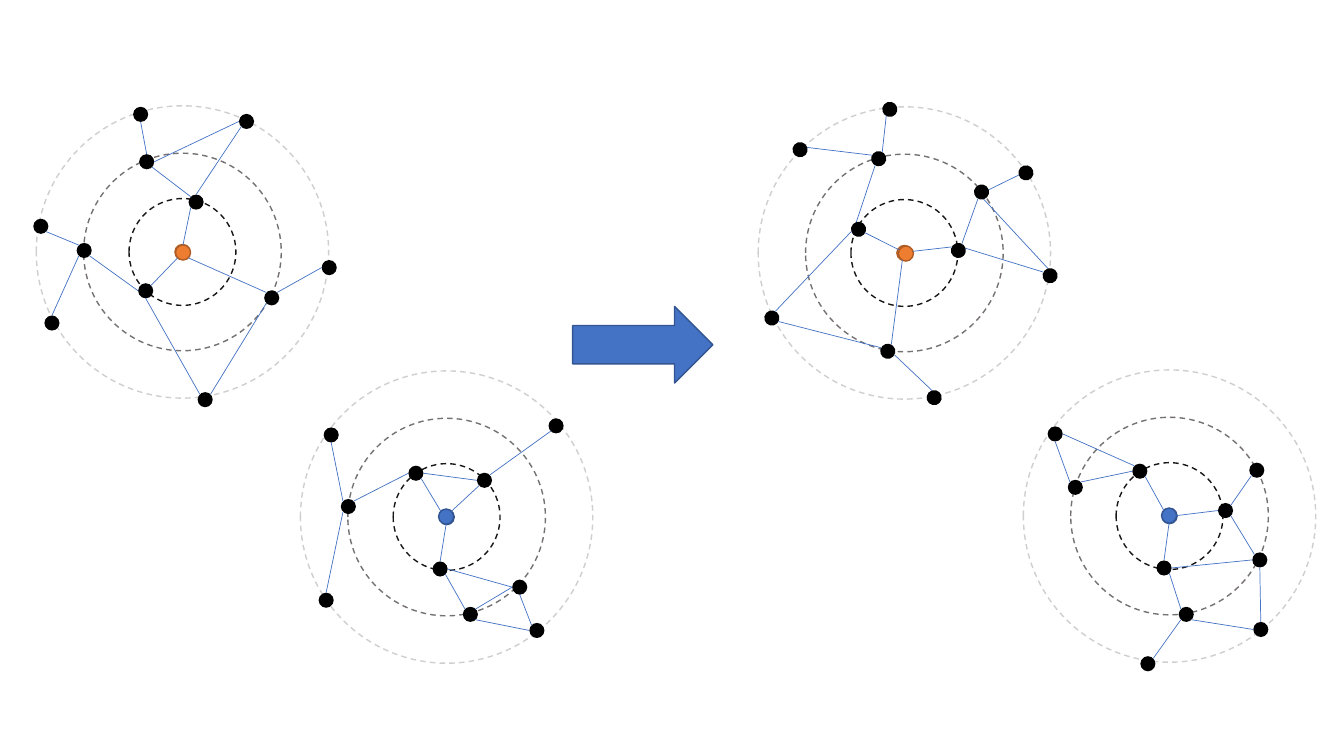
from math import cos, radians, sin

from pptx import Presentation
from pptx.dml.color import RGBColor
from pptx.enum.dml import MSO_LINE
from pptx.enum.shapes import MSO_CONNECTOR, MSO_SHAPE as SHAPE
from pptx.oxml.ns import qn
from pptx.util import Inches, Pt

BLACK = RGBColor(0x00, 0x00, 0x00)
BLUE = RGBColor(0x44, 0x72, 0xC4)
DARK_BLUE = RGBColor(0x32, 0x54, 0x91)
ORANGE = RGBColor(0xED, 0x7D, 0x31)
DARK_ORANGE = RGBColor(0xAF, 0x5C, 0x24)

DOT = 0.15
RINGS = [
    (0.53, RGBColor(0x18, 0x17, 0x17)),
    (0.98, RGBColor(0x76, 0x71, 0x71)),
    (1.45, RGBColor(0xD0, 0xCE, 0xCE)),
]
COMPASS = ["N", "NE", "E", "SE", "S", "SW", "W", "NW"]

ORANGE_EDGES = [
    (2, "NE", 0, "SW"), (0, "N", 1, "SW"), (3, "NW", 0, "SE"),
    (1, "NW", 5, "SE"), (1, "N", 4, "SW"), (4, "W", 5, "E"),
    (2, "W", 6, "SE"), (7, "NW", 2, "S"), (7, "NE", 3, "SW"),
    (8, "N", 6, "SW"), (6, "NW", 9, "SE"), (5, "N", 10, "S"),
    (3, "NE", 11, "W"),
]
BLUE_EDGES = [
    (0, "NW", 1, "SE"), (3, "N", 0, "S"), (4, "NW", 3, "SE"),
    (5, "W", 4, "SE"), (6, "W", 3, "E"), (7, "SW", 2, "NE"),
    (1, "W", 8, "NE"), (9, "S", 8, "NW"),
]
BLUE_BEFORE = [
    (2, "W", 1, "E"), (0, "NE", 2, "SW"), (5, "NW", 6, "S"),
    (4, "NE", 6, "W"), (8, "SW", 10, "N"),
]
BLUE_AFTER = [
    (0, "E", 2, "W"), (5, "N", 6, "S"), (2, "SE", 6, "NW"),
    (1, "NW", 9, "E"), (4, "SW", 10, "NE"),
]

GRAPHS = [
    dict(center=(1.81, 2.5), colors=(ORANGE, DARK_ORANGE), turn=0,
         edges=ORANGE_EDGES,
         dots=[(1.74, 2.43), (1.87, 1.93), (1.37, 2.81), (2.62, 2.88),
               (2.37, 1.13), (1.38, 1.53), (0.76, 2.41), (1.96, 3.89),
               (0.44, 3.13), (0.33, 2.17), (1.32, 1.06), (3.19, 2.58)]),
    dict(center=(8.97, 2.51), colors=(ORANGE, DARK_ORANGE), turn=72.9,
         edges=ORANGE_EDGES,
         dots=[(8.91, 2.44), (9.43, 2.41), (8.44, 2.2), (8.73, 3.41),
               (10.34, 2.66), (9.66, 1.83), (8.64, 1.5), (7.58, 3.08),
               (7.86, 1.41), (8.75, 1.01), (10.1, 1.64), (9.19, 3.87)]),
    dict(center=(4.43, 5.13), colors=(BLUE, DARK_BLUE), turn=0,
         edges=BLUE_EDGES + BLUE_BEFORE,
         dots=[(4.35, 5.05), (4.05, 4.62), (4.73, 4.69), (4.29, 5.57),
               (4.59, 6.02), (5.25, 6.18), (5.08, 5.75), (5.44, 4.15),
               (3.38, 4.95), (3.21, 4.24), (3.16, 5.88)]),
    dict(center=(11.6, 5.12), colors=(BLUE, DARK_BLUE), turn=0,
         edges=BLUE_EDGES + BLUE_AFTER,
         dots=[(11.52, 5.04), (11.23, 4.6), (12.08, 4.99), (11.47, 5.56),
               (11.69, 6.02), (12.43, 6.17), (12.42, 5.48), (12.39, 4.59),
               (10.59, 4.76), (10.39, 4.23), (11.31, 6.51)]),
]


def add_shape(shapes, kind, x, y, w, h, fill=None, line=None):
    sp = shapes.add_shape(kind, Inches(x), Inches(y), Inches(w), Inches(h))
    sp.shadow.inherit = False
    if fill is None:
        sp.fill.background()
    else:
        sp.fill.solid()
        sp.fill.fore_color.rgb = fill
    if line is None:
        sp.line.fill.background()
    else:
        sp.line.color.rgb = line
        sp.line.width = Pt(1)
    return sp


def add_edge(shapes, start, end):
    line = shapes.add_connector(MSO_CONNECTOR.STRAIGHT, *map(Inches, start + end))
    line.line.color.rgb = BLUE
    line.line.width = Pt(0.5)
    sp_pr = line._element.spPr
    sp_pr.append(sp_pr.makeelement(qn("a:effectLst"), {}))


def rim_point(dot, site, turn):
    angle = radians(COMPASS.index(site) * 45 + turn)
    r = DOT / 2
    return dot[0] + r + r * sin(angle), dot[1] + r - r * cos(angle)


def add_graph(s, center, colors, turn, edges, dots):
    shapes = s.shapes.add_group_shape().shapes
    cx, cy = center
    for r, color in RINGS:
        ring = add_shape(shapes, SHAPE.OVAL, cx - r, cy - r, 2 * r, 2 * r, line=color)
        ring.line.dash_style = MSO_LINE.DASH
    hub, *others = dots
    for x, y in [(cx - DOT / 2, cy - DOT / 2), hub]:
        add_shape(shapes, SHAPE.OVAL, x, y, DOT, DOT, *colors)
    for x, y in others:
        add_shape(shapes, SHAPE.OVAL, x, y, DOT, DOT, BLACK).rotation = turn
    for a, site_a, b, site_b in edges:
        add_edge(shapes, rim_point(dots[a], site_a, turn),
                 rim_point(dots[b], site_b, turn))


def main():
    prs = Presentation()
    prs.slide_width, prs.slide_height = Inches(13.33), Inches(7.5)
    s = prs.slides.add_slide(prs.slide_layouts[6])
    for graph in GRAPHS:
        add_graph(s, **graph)
    add_shape(s.shapes, SHAPE.RIGHT_ARROW, 5.68, 3.04, 1.39, 0.76, BLUE, DARK_BLUE)
    prs.save("out.pptx")


if __name__ == "__main__":
    main()
